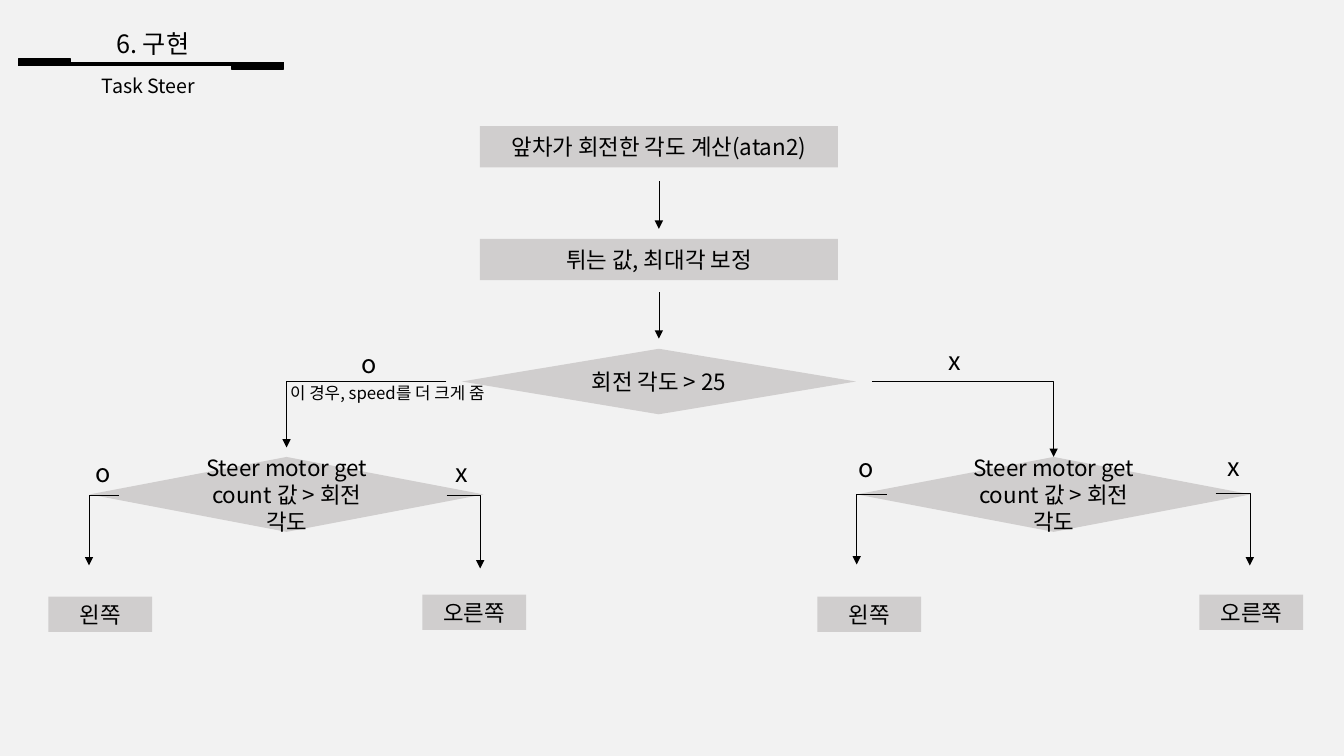
from lxml.etree import SubElement
from pptx import Presentation
from pptx.dml.color import RGBColor
from pptx.enum.shapes import MSO_CONNECTOR as Connector, MSO_SHAPE as Shape
from pptx.enum.text import MSO_ANCHOR as Anchor, MSO_AUTO_SIZE as AutoSize, PP_ALIGN as Align
from pptx.oxml import parse_xml
from pptx.oxml.ns import nsdecls, qn
from pptx.util import Inches, Pt

COLORS = {"background": "F2F2F2", "box": "D0CECE", "ink": "000000"}
FONT = "Noto Sans CJK KR"
COLUMNS, ROWS = 80, 45
CELL = Inches(1) / 6
MAIN = 39.22
STEP_SIZE = (21.3, 2.46)
RESULT_SIZE = (6.18, 2.1)
DIAMOND_WIDTH = 23.46


def cells(*lengths):
    """Turn grid lengths into EMU."""
    return [round(length * CELL) for length in lengths]


def color(name):
    return RGBColor.from_string(COLORS[name])


def write(frame, text, size, align=Align.CENTER):
    frame.word_wrap = True
    paragraph = frame.paragraphs[0]
    paragraph.alignment = align
    paragraph.space_before = Pt(0)
    run = paragraph.add_run()
    run.text = text
    run.font.size = Pt(size)
    run.font.name = FONT
    run.font.color.rgb = color("ink")
    properties = run.font._element
    east_asian = parse_xml(f'<a:ea {nsdecls("a")} typeface="{FONT}"/>')
    properties.find(qn("a:latin")).addnext(east_asian)
    return properties


def heading(placeholder, text, size, left, top, width, height):
    placeholder.left, placeholder.top, placeholder.width, placeholder.height = cells(
        left, top, width, height)
    frame = placeholder.text_frame
    frame.vertical_anchor = Anchor.TOP
    frame.auto_size = AutoSize.SHAPE_TO_FIT_TEXT
    properties = write(frame, text, size)
    properties.insert(0, parse_xml(
        f'<a:ln {nsdecls("a")} w="9525"><a:solidFill><a:srgbClr val="{COLORS["ink"]}">'
        '<a:alpha val="30000"/></a:srgbClr></a:solidFill></a:ln>'))


def line(shapes, start, end, width, kind=Connector.STRAIGHT):
    connector = shapes.add_connector(kind, *cells(*start, *end))
    connector.line.color.rgb = color("ink")
    connector.line.width = Pt(width)
    SubElement(connector._element.spPr, qn("a:effectLst"))
    return connector


def arrow(shapes, start, end):
    """Draw a straight arrow, or one that runs across and then down."""
    straight = start[0] == end[0]
    kind = Connector.STRAIGHT if straight else Connector.ELBOW
    properties = line(shapes, start, end, 0.5, kind)._element.spPr
    if not straight:
        properties.find(qn("a:prstGeom")).set("prst", "bentConnector2")
    SubElement(properties.find(qn("a:ln")), qn("a:tailEnd"), type="triangle")


def block(shapes, kind, left, top, width, height, fill):
    shape = shapes.add_shape(kind, *cells(left, top, width, height))
    shape.shadow.inherit = False
    shape.fill.solid()
    shape.fill.fore_color.rgb = color(fill)
    shape.line.fill.background()
    return shape


def node(shapes, kind, center, top, size, text):
    width, height = size
    shape = block(shapes, kind, center - width / 2, top, width, height, "box")
    shape.text_frame.vertical_anchor = Anchor.MIDDLE
    write(shape.text_frame, text, 16)


def label(shapes, text, left, top):
    frame = shapes.add_textbox(*cells(left, top, 0.3, 2.4)).text_frame
    frame.margin_left = frame.margin_right = 0
    write(frame, text, 18, Align.LEFT)


def header_rule(slide):
    rule = slide.shapes.add_group_shape().shapes
    line(rule, (1.1, 3.82), (16.88, 3.82), 3)
    for left, top in ((1.12, 3.52), (13.8, 3.8)):
        bar = block(rule, Shape.RECTANGLE, left, top, 3.08, 0.3, "ink")
        bar.line.color.rgb = color("ink")
        bar.line.width = Pt(1)


def steer_branch(shapes, center, outcomes):
    """Draw a motor check with its outcomes: (answer, result, label, arrow, box)."""
    node(shapes, Shape.DIAMOND, center, 27.2, (DIAMOND_WIDTH, 4.46),
         "Steer motor get count 값 > 회전 각도")
    for answer, result, label_at, start, end, box_center, box_top in outcomes:
        arrow(shapes, start, end)
        node(shapes, Shape.RECTANGLE, box_center, box_top, RESULT_SIZE, result)
        label(shapes, answer, *label_at)


def main():
    prs = Presentation()
    prs.slide_width, prs.slide_height = cells(COLUMNS, ROWS)
    slide = prs.slides.add_slide(prs.slide_layouts[0])
    slide.background.fill.solid()
    slide.background.fill.fore_color.rgb = color("background")
    shapes = slide.shapes

    heading(shapes.title, "6. 구현", 18, 1.2, 1.38, 15.78, 2.4)
    heading(slide.placeholders[1], "Task Steer", 14, 0.96, 4.08, 15.78, 2.04)
    header_rule(slide)

    node(shapes, Shape.RECTANGLE, MAIN, 7.5, STEP_SIZE, "앞차가 회전한 각도 계산(atan2)")
    node(shapes, Shape.RECTANGLE, MAIN, 14.22, STEP_SIZE, "튀는 값, 최대각 보정")
    node(shapes, Shape.DIAMOND, MAIN, 20.76, (DIAMOND_WIDTH, 3.9), "회전 각도 > 25")
    for top, bottom in ((10.8, 13.62), (17.4, 20.16)):
        arrow(shapes, (MAIN, top), (MAIN, bottom))

    left, right = 17.06, 62.72
    arrow(shapes, (26.58, 22.68), (left, 26.64))
    arrow(shapes, (51.9, 22.68), (right, 27.2))
    label(shapes, "o", 21.54, 20.46)
    label(shapes, "x", 56.46, 20.28)

    steer_branch(shapes, left, (
        ("o", "왼쪽", (5.7, 26.94), (7.08, 29.46), (5.3, 33.66), 5.97, 35.52),
        ("x", "오른쪽", (27.12, 26.94), (26.58, 29.5), (28.58, 33.84), 28.23, 35.4)))
    steer_branch(shapes, right, (
        ("o", "왼쪽", (51.12, 26.64), (52.8, 29.4), (51, 33.6), 51.75, 35.52),
        ("x", "오른쪽", (73.08, 26.58), (72.36, 29.34), (74.4, 33.66), 74.49, 35.4)))

    remark = shapes.add_textbox(*cells(16.68, 22.5, 29.94, 1.8))
    write(remark.text_frame, "이 경우, speed를 더 크게 줌", 12, Align.LEFT)

    prs.save("out.pptx")


if __name__ == "__main__":
    main()
